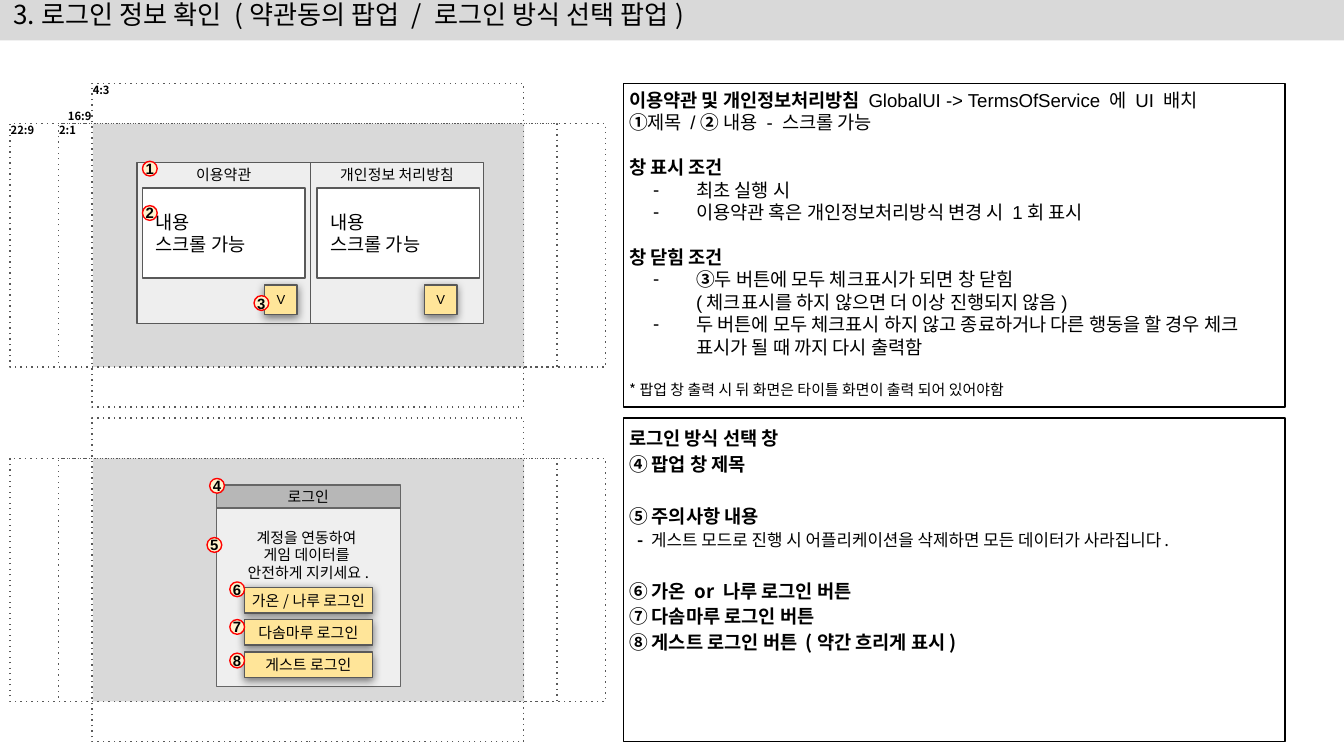
from dataclasses import dataclass

from pptx import Presentation
from pptx.dml.color import RGBColor
from pptx.enum import dml, shapes, text
from pptx.oxml import parse_xml
from pptx.oxml.ns import nsdecls, qn
from pptx.util import Inches, Pt

NOTO, ARIAL = "Noto Sans CJK KR", "Arial"
COLORS = {
    "black": "000000", "white": "FFFFFF", "screen": "D9D9D9", "guide": "595959",
    "popup": "EEEEEE", "login": "EFEFEF", "login_edge": "666666", "bar": "B7B7B7",
    "button": "FFE599", "badge": "FFF2CC", "red": "FF0000",
}
CENTER, LEFT, RIGHT = text.PP_ALIGN.CENTER, text.PP_ALIGN.LEFT, text.PP_ALIGN.RIGHT
TOP, MIDDLE, BOTTOM = (text.MSO_ANCHOR.TOP, text.MSO_ANCHOR.MIDDLE,
                       text.MSO_ANCHOR.BOTTOM)


@dataclass
class Box:
    left: float
    top: float
    width: float
    height: float


@dataclass
class Span:
    words: str
    bold: bool = False
    font: str = NOTO
    size: float = 8


@dataclass
class Line:
    spans: list[Span]
    before: float = 0
    indent: float = 0
    bullet: bool = False
    spacing: float = 1.0


def rgb(name: str) -> RGBColor:
    return RGBColor.from_string(COLORS[name])


def write(frame, lines: list[Line], align=LEFT, anchor=TOP,
          insets: tuple = (0, 0, 0, 0), wrap: bool = True) -> None:
    frame.word_wrap = wrap
    frame.auto_size = text.MSO_AUTO_SIZE.NONE
    frame.vertical_anchor = anchor
    (frame.margin_left, frame.margin_top,
     frame.margin_right, frame.margin_bottom) = map(Inches, insets)
    for index, line in enumerate(lines):
        paragraph = frame.add_paragraph() if index else frame.paragraphs[0]
        paragraph.alignment = align
        paragraph.line_spacing = line.spacing
        paragraph.space_before = Pt(line.before)
        if line.indent:
            props = paragraph._p.get_or_add_pPr()
            props.set("marL", str(Inches(line.indent)))
            props.set("indent", str(Inches(-0.32 if line.bullet else 0)))
            if line.bullet:
                props.append(parse_xml(f'<a:buFont {nsdecls("a")} typeface="{ARIAL}"/>'))
                props.append(parse_xml(f'<a:buChar {nsdecls("a")} char="-"/>'))
        for span in line.spans:
            run = paragraph.add_run()
            run.text = span.words
            run.font.size = Pt(span.size)
            run.font.bold = span.bold
            run.font.color.rgb = rgb("black")
            run.font.name = span.font
            run_props = run._r.get_or_add_rPr()
            run_props.set("kern", "0")
            run_props.append(parse_xml(f'<a:ea {nsdecls("a")} typeface="{NOTO}"/>'))


def plain(*rows: str, **style) -> list[Line]:
    return [Line([Span(row, **style)]) for row in rows]


def draw(slide, box: Box, fill: str = "", edge: str = "", dotted: bool = False,
         kind=shapes.MSO_SHAPE.RECTANGLE):
    shape = slide.shapes.add_shape(kind, *map(
        Inches, (box.left, box.top, box.width, box.height)))
    shape.shadow.inherit = False
    if fill:
        shape.fill.solid()
        shape.fill.fore_color.rgb = rgb(fill)
    else:
        shape.fill.background()
    if edge:
        shape.line.color.rgb = rgb(edge)
        shape.line.width = Pt(0.75)
    else:
        shape.line.fill.background()
    if dotted:
        shape.line.dash_style = dml.MSO_LINE.ROUND_DOT
        shape._element.spPr.find(".//" + qn("a:prstDash")).set("val", "dot")
    return shape


def draw_button(slide, box: Box, label: str, **style) -> None:
    button = draw(slide, box, "button", "guide")
    effects = button._element.spPr.find(qn("a:effectLst"))
    effects.append(parse_xml(
        f'<a:outerShdw {nsdecls("a")} blurRad="57150" dist="19050" dir="5400000" '
        'algn="bl" rotWithShape="0"><a:srgbClr val="000000">'
        '<a:alpha val="50000"/></a:srgbClr></a:outerShdw>'))
    write(button.text_frame, plain(label, **style), CENTER, MIDDLE)


def draw_badge(slide, number: int, left: float, top: float) -> None:
    badge = draw(slide, Box(left, top, 0.11, 0.11), "badge", "red",
                 kind=shapes.MSO_SHAPE.OVAL)
    write(badge.text_frame, plain(str(number), bold=True, font=ARIAL),
          CENTER, MIDDLE, wrap=False)


def draw_screens(slide) -> None:
    """Two game screens, each with the outlines of the supported aspect ratios."""
    center = 2.29
    for top in (0.62, 3.11):
        draw(slide, Box(0.69, top + 0.3, 3.21, 1.81), "screen")
        for width, inset in ((3.71, 0.3), (3.21, 0), (4.43, 0.3)):
            draw(slide, Box(center - width / 2, top + inset, width, 2.41 - 2 * inset),
                 edge="guide", dotted=True)
    for ratio, left, top, align, anchor in (
            ("2:1", 0.44, 0.92, LEFT, TOP), ("22:9", 0.08, 0.92, LEFT, TOP),
            ("4:3", 0.69, 0.62, LEFT, TOP), ("16:9", 0.43, 0.73, RIGHT, BOTTOM)):
        label = slide.shapes.add_textbox(*map(Inches, (left, top, 0.25, 0.18)))
        write(label.text_frame, plain(ratio, size=6, bold=True), align, anchor)


def draw_terms_popup(slide) -> None:
    for left, content_left, check_left, title in (
            (1.02, 1.06, 1.97, "이용약관"), (2.31, 2.36, 3.16, "개인정보 처리방침")):
        pane = draw(slide, Box(left, 1.21, 1.29, 1.2), "popup", "guide")
        write(pane.text_frame, plain(title), CENTER, insets=(0, 0.02, 0, 0))
        content = draw(slide, Box(content_left, 1.4, 1.21, 0.67), "white", "guide")
        write(content.text_frame, plain("내용", "스크롤 가능", size=10),
              anchor=MIDDLE, insets=(0.1,) * 4)
        draw_button(slide, Box(check_left, 2.12, 0.24, 0.22), "V", font=ARIAL, size=7)


def draw_login_popup(slide) -> None:
    popup = draw(slide, Box(1.61, 3.68, 1.37, 1.43), "login", "login_edge")
    write(popup.text_frame, plain("계정을 연동하여 ", "게임 데이터를 ", "안전하게 지키세요."),
          CENTER, insets=(0, 0.25, 0, 0))
    bar = draw(slide, Box(1.61, 3.61, 1.37, 0.17), "bar", "login_edge")
    write(bar.text_frame, plain("로그인"), CENTER, MIDDLE)
    for row, label in enumerate(("가온/나루 로그인", "다솜마루 로그인", "게스트 로그인")):
        draw_button(slide, Box(1.82, 4.37 + 0.24 * row, 0.95, 0.19), label)


def body(words: str) -> Span:
    return Span(words, font=ARIAL, size=10)


def strong(words: str, font: str = NOTO) -> Span:
    return Span(words, True, font, 10)


def item(*spans: Span, bullet: bool = True) -> Line:
    return Line(list(spans), indent=0.5, bullet=bullet)


def login_line(words: str, before: float = 0) -> Line:
    return Line([strong(words)], before, spacing=1.15)


TERMS_NOTES = [
    Line([strong("이용약관 및 개인정보처리방침 ", ARIAL),
          body("GlobalUI -> TermsOfService 에 UI 배치")]),
    Line([strong("①"), body("제목 / "), strong("②"), body("내용 - 스크롤 가능")]),
    Line([strong("창 표시 조건", ARIAL)], before=12),
    item(body("최초 실행 시")),
    item(body("이용약관 혹은 개인정보처리방식 변경 시 1회 표시")),
    Line([strong("창 닫힘 조건", ARIAL)], before=12),
    item(strong("③"), body("두 버튼에 모두 체크표시가 되면 창 닫힘")),
    item(body("(체크표시를 하지 않으면 더 이상 진행되지 않음)"), bullet=False),
    item(body("두 버튼에 모두 체크표시 하지 않고 종료하거나 다른 행동을 할 경우 "
              "체크 표시가 될 때 까지 다시 출력함")),
    Line([Span("*팝업 창 출력 시 뒤 화면은 타이틀 화면이 출력 되어 있어야함")],
         before=11, spacing=1.15),
]
LOGIN_NOTES = [
    login_line("로그인 방식 선택 창"),
    login_line("④ 팝업 창 제목"),
    login_line("⑤ 주의사항 내용", before=14),
    Line([Span("- ", True, size=9),
          Span("게스트 모드로 진행 시 어플리케이션을 삭제하면 모든 데이터가 사라집니다.", size=9)],
         indent=0.06, spacing=1.15),
    login_line("⑥ 가온 or 나루 로그인 버튼", before=14),
    login_line("⑦ 다솜마루 로그인 버튼"),
    login_line("⑧ 게스트 로그인 버튼 (약간 흐리게 표시)"),
]
BADGES = [(1.06, 1.2), (1.06, 1.53), (1.89, 2.2), (1.56, 3.56),
          (1.54, 4.0), (1.71, 4.33), (1.71, 4.61), (1.71, 4.86)]


def main() -> None:
    deck = Presentation()
    deck.slide_width = Inches(10)
    deck.slide_height = deck.slide_width * 9 // 16
    slide = deck.slides.add_slide(deck.slide_layouts[5])
    title = slide.shapes.title
    title.left, title.top, title.width, title.height = map(
        Inches, (0, -0.01, 10, 0.31))
    title.fill.solid()
    title.fill.fore_color.rgb = rgb("screen")
    write(title.text_frame,
          plain("3.로그인 정보 확인 (약관동의 팝업 / 로그인 방식 선택 팝업)", size=14),
          insets=(0.1, 0, 0.1, 0))

    draw_screens(slide)
    for top, notes in ((0.62, TERMS_NOTES), (3.11, LOGIN_NOTES)):
        panel = draw(slide, Box(4.64, top, 4.92, 2.41), edge="black")
        write(panel.text_frame, notes, insets=(0.04,) * 4)
    draw_terms_popup(slide)
    draw_login_popup(slide)
    for number, (left, top) in enumerate(BADGES, 1):
        draw_badge(slide, number, left, top)
    deck.save("out.pptx")


if __name__ == "__main__":
    main()
